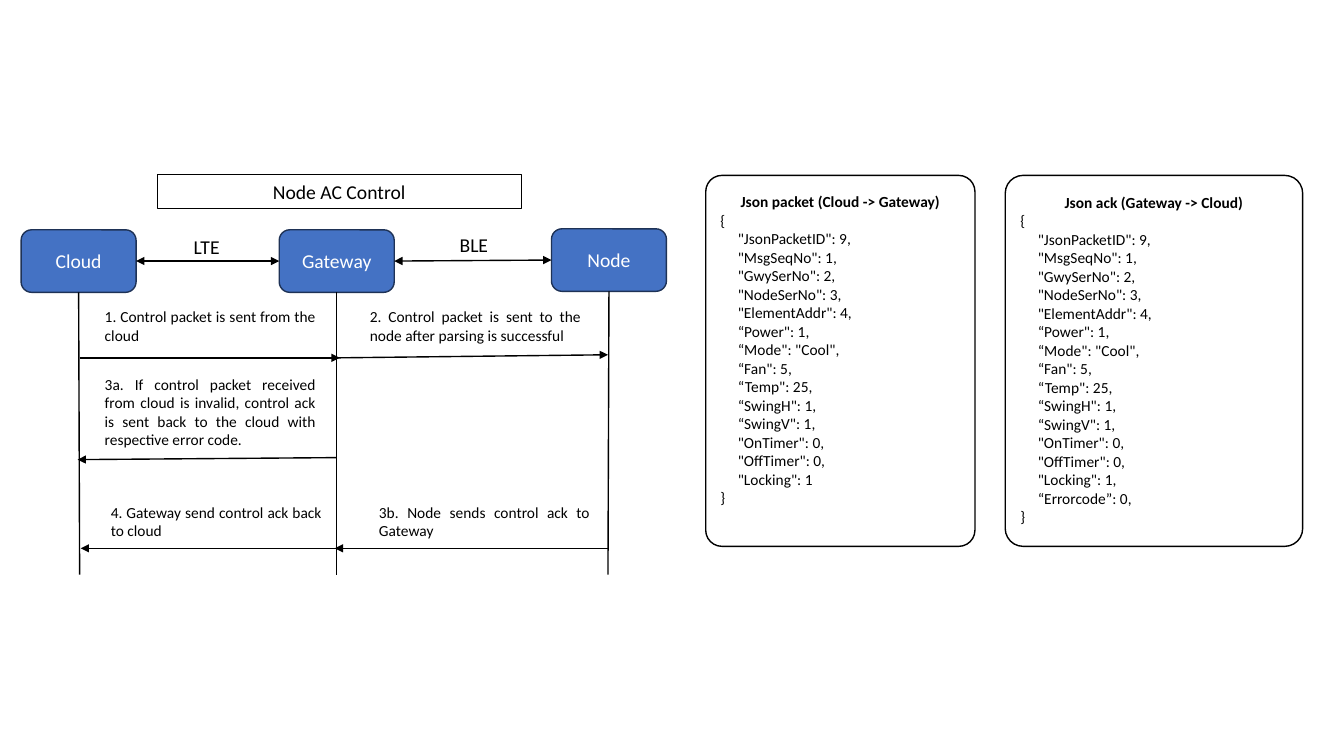
from dataclasses import dataclass

from lxml import etree
from pptx import Presentation
from pptx.dml.color import RGBColor
from pptx.enum.shapes import MSO_CONNECTOR, MSO_SHAPE
from pptx.enum.text import MSO_ANCHOR, MSO_AUTO_SIZE, PP_ALIGN
from pptx.oxml.ns import qn
from pptx.util import Emu, Pt

PX = 9144
TITLE_ONLY = 5
LEFT_SIDE, BOTTOM_SIDE, RIGHT_SIDE = 1, 2, 3
STRAIGHT = MSO_CONNECTOR.STRAIGHT
ROUNDED = MSO_SHAPE.ROUNDED_RECTANGLE
CENTER, JUSTIFY = PP_ALIGN.CENTER, PP_ALIGN.JUSTIFY
TOP, MIDDLE = MSO_ANCHOR.TOP, MSO_ANCHOR.MIDDLE
FIXED = MSO_AUTO_SIZE.NONE


@dataclass(frozen=True)
class Theme:
    font: str = "Calibri"
    heading: int = 14
    body: int = 11
    line: int = 1
    black: RGBColor = RGBColor(0, 0, 0)
    white: RGBColor = RGBColor(255, 255, 255)
    blue: RGBColor = RGBColor(0x44, 0x72, 0xC4)
    navy: RGBColor = RGBColor(0x1E, 0x32, 0x56)


class SequenceSlide:
    def __init__(self, deck, theme):
        self.theme = theme
        self.slide = deck.slides.add_slide(deck.slide_layouts[TITLE_ONLY])
        self.shapes = self.slide.shapes

    def outline(self, shape, fill, line):
        shape.fill.solid()
        shape.fill.fore_color.rgb = fill
        shape.line.color.rgb = line
        shape.line.width = Pt(self.theme.line)

    def set_text(self, shape, lines, size, align, color=None, anchor=TOP):
        frame = shape.text_frame
        for name, value in dict(word_wrap=True, auto_size=FIXED, vertical_anchor=anchor).items():
            setattr(frame, name, value)
        frame.text = "\n".join(lines)
        for paragraph in frame.paragraphs:
            paragraph.alignment = align
            for run in paragraph.runs:
                for name, value in dict(name=self.theme.font, size=Pt(size), bold=False).items():
                    setattr(run.font, name, value)
                run.font.color.rgb = color or self.theme.black

    def title(self, text, box):
        title = self.shapes.title
        title.left, title.top, title.width, title.height = (Emu(n * PX) for n in box)
        self.outline(title, self.theme.white, self.theme.black)
        self.set_text(title, [text], self.theme.heading, CENTER, anchor=MIDDLE)

    def rounded(self, box, fill, line):
        shape = self.shapes.add_shape(ROUNDED, *(Emu(n * PX) for n in box))
        shape.shadow.inherit = False
        self.outline(shape, fill, line)
        return shape

    def actor(self, name, left, top):
        actor = self.rounded((left, top, 114, 62), self.theme.blue, self.theme.navy)
        self.set_text(actor, [name], self.theme.heading, CENTER, self.theme.white, MIDDLE)
        return actor

    def label(self, text, box, size, align):
        label = self.shapes.add_textbox(*(Emu(n * PX) for n in box))
        self.set_text(label, [text], size, align)

    def code_panel(self, heading, fields, box, corner):
        panel = self.rounded(box, self.theme.white, self.theme.black)
        panel.adjustments[0] = corner
        panel.text_frame.margin_top = Emu(12 * PX)
        code = ["{", *(f"     {field}" for field in fields), "}"]
        self.set_text(panel, [heading, *code], self.theme.body, JUSTIFY)
        first = panel.text_frame.paragraphs[0]
        first.alignment = CENTER
        first.runs[0].font.bold = True

    def connector(self, start, end, arrows=()):
        connector = self.shapes.add_connector(STRAIGHT, *(Emu(n * PX) for n in (*start, *end)))
        connector.line.color.rgb = self.theme.black
        connector.line.width = Pt(self.theme.line)
        properties = connector.element.spPr
        line = properties.find(qn("a:ln"))
        for arrow in arrows:
            etree.SubElement(line, qn(f"a:{arrow}"), type="triangle")
        etree.SubElement(properties, qn("a:effectLst"))
        return connector

    def link(self, first, second):
        link = self.connector((0, 0), (0, 0), ("headEnd", "tailEnd"))
        link.begin_connect(first, RIGHT_SIDE)
        link.end_connect(second, LEFT_SIDE)

    def lifeline(self, actor, x, top):
        lifeline = self.connector((x, top), (x, 570))
        lifeline.begin_connect(actor, BOTTOM_SIDE)


ACTORS = [("Cloud", 21, 228, 79), ("Gateway", 277, 228, 334), ("Node", 547, 227, 603)]
PROTOCOLS = [("LTE", 163, 228), ("BLE", 428, 226)]
MESSAGES = [
    ("1. Control packet is sent from the cloud", 94, 300, 47, (79, 355), (337, 355)),
    ("2. Control packet is sent to the node after parsing is successful",
     357, 300, 47, (335, 355), (603, 352)),
    ("3a. If control packet received from cloud is invalid, control ack is sent back "
     "to the cloud with respective error code.", 94, 367, 84, (334, 454), (77, 456)),
    ("3b. Node sends control ack to Gateway", 366, 494, 47, (603, 544), (332, 544)),
    ("4. Gateway send control ack back to cloud", 100, 494, 47, (334, 544), (80, 544)),
]
FIELDS = [
    '"JsonPacketID": 9,', '"MsgSeqNo": 1,', '"GwySerNo": 2,', '"NodeSerNo": 3,',
    '"ElementAddr": 4,', '“Power": 1,', '“Mode": "Cool",', '“Fan": 5,', '“Temp": 25,',
    '“SwingH": 1,', '“SwingV": 1,', '"OnTimer": 0,', '"OffTimer": 0,',
]
PACKET_FIELDS = [*FIELDS, '"Locking": 1']
ACK_FIELDS = [*FIELDS, '"Locking": 1,', '“Errorcode”: 0,']


def main():
    deck = Presentation()
    deck.slide_width, deck.slide_height = Emu(1333 * PX), Emu(750 * PX)
    theme = Theme()
    page = SequenceSlide(deck, theme)

    page.title("Node AC Control", (156, 173, 361, 34))
    actors = [page.actor(name, left, top) for name, left, top, _ in ACTORS]
    for actor, (_, _, top, x) in zip(actors, ACTORS):
        page.lifeline(actor, x, top + 62)
    for first, second, (protocol, left, top) in zip(actors, actors[1:], PROTOCOLS):
        page.link(first, second)
        page.label(protocol, (left, top, 84, 34), theme.heading, CENTER)
    for text, left, top, height, start, end in MESSAGES:
        page.connector(start, end, ("tailEnd",))
        page.label(text, (left, top, 229, height), theme.body, JUSTIFY)
    page.code_panel("Json packet (Cloud -> Gateway)", PACKET_FIELDS, (700, 174, 267, 368), 0.06)
    page.code_panel("Json ack (Gateway -> Cloud)", ACK_FIELDS, (997, 174, 295, 368), 0.06)
    deck.save("out.pptx")


if __name__ == "__main__":
    main()
